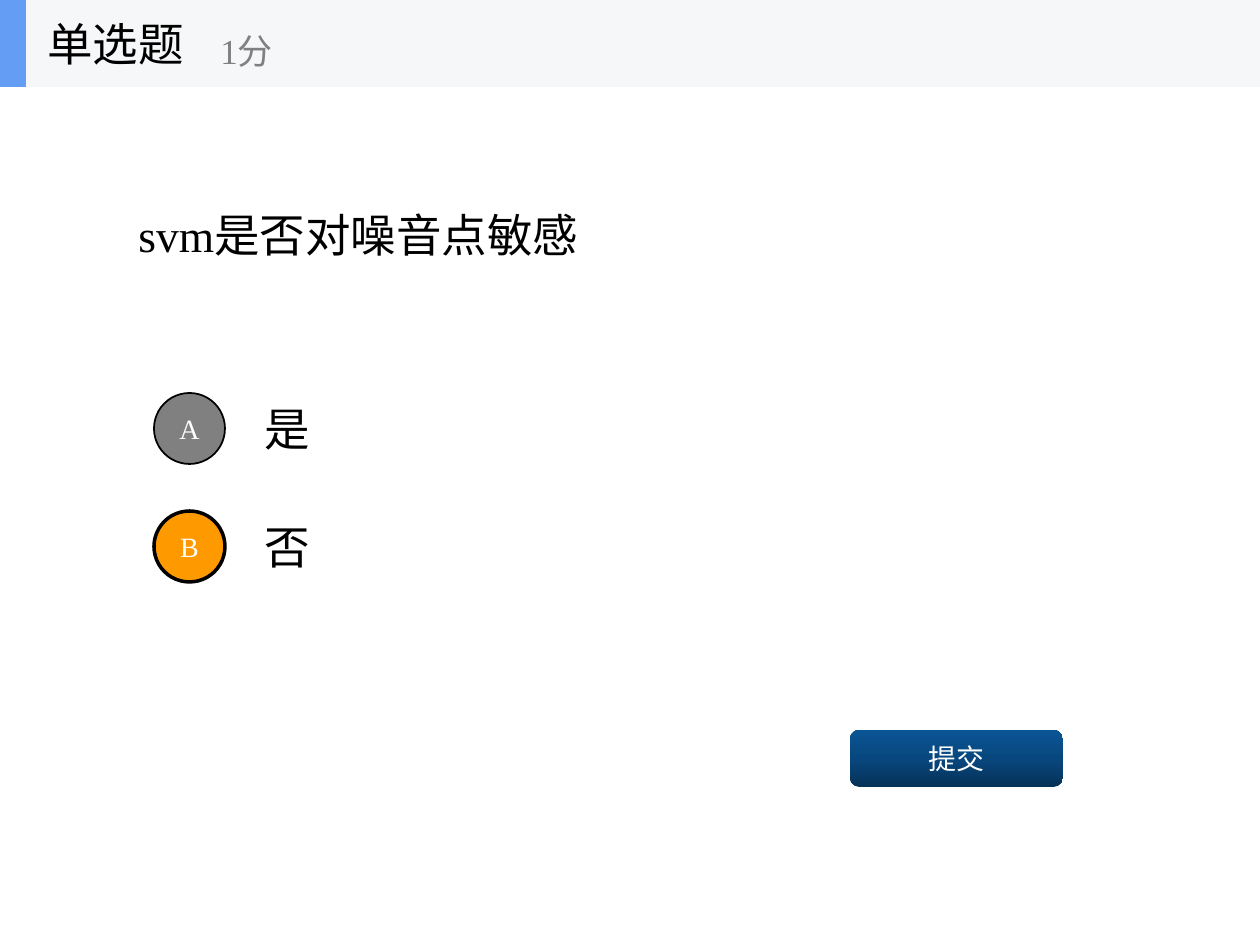
import copy

import pptx
import pptx.dml.color
import pptx.enum.shapes
import pptx.enum.text
import pptx.oxml.ns
import pptx.util

EMU_PER_PX = 914400 / 126
SHAPE = pptx.enum.shapes.MSO_SHAPE
ALIGN = pptx.enum.text.PP_ALIGN


def px(length):
    return pptx.util.Emu(round(length * EMU_PER_PX))


def color(value):
    return pptx.dml.color.RGBColor.from_string(value)


class QuizSlide:
    font_name = "Times New Roman"
    black, white, gray = "000000", "FFFFFF", "808080"
    large, medium, small = 26, 20, 16

    def __init__(self, presentation):
        self.slide = presentation.slides.add_slide(presentation.slide_layouts[6])

    def set_text(self, shape, text, size, font_color, align, wrap=True):
        frame = shape.text_frame
        frame.text = text
        frame.word_wrap = wrap
        frame.vertical_anchor = pptx.enum.text.MSO_ANCHOR.MIDDLE
        paragraph = frame.paragraphs[0]
        paragraph.alignment = align
        font = paragraph.runs[0].font
        font.name = self.font_name
        font.size = pptx.util.Pt(size)
        font.color.rgb = color(font_color)

    def text(self, box, text, size=large, font_color=black, wrap=True):
        shape = self.slide.shapes.add_textbox(*map(px, box))
        self.set_text(shape, text, size, font_color, ALIGN.LEFT, wrap)

    def shape(self, kind, box, fill=None, line_width=0):
        shape = self.slide.shapes.add_shape(kind, *map(px, box))
        shape.shadow.inherit = False
        if fill:
            shape.fill.solid()
            shape.fill.fore_color.rgb = color(fill)
        if line_width:
            shape.line.color.rgb = color(self.black)
            shape.line.width = pptx.util.Pt(line_width)
        else:
            shape.line.fill.background()
        return shape

    def label(self, shape, text):
        frame = shape.text_frame
        frame.margin_left = frame.margin_right = 0
        frame.margin_top = frame.margin_bottom = 0
        self.set_text(shape, text, self.small, self.white, ALIGN.CENTER)

    def option(self, top, letter, answer, fill, line_width):
        self.text((252, top, 882, 88), answer)
        circle = self.shape(SHAPE.OVAL, (154, top + 9, 71, 71), fill, line_width)
        self.label(circle, letter)

    def button(self, box, text, gradient):
        shape = self.shape(SHAPE.ROUNDED_RECTANGLE, box)
        shape.fill.gradient()
        shape.fill.gradient_angle = 90
        # The default gradient has two stops, so the middle one is added
        stops = shape.element.spPr.find(".//" + pptx.oxml.ns.qn("a:gsLst"))
        stops.insert(1, copy.deepcopy(stops[0]))
        for stop, (position, value) in zip(shape.fill.gradient_stops, gradient):
            stop.position = position
            stop.color.rgb = color(value)
        self.label(shape, text)


def main():
    presentation = pptx.Presentation()
    presentation.slide_width = px(1260)
    presentation.slide_height = px(945)
    quiz = QuizSlide(presentation)

    # Question and answers
    quiz.text((126, 87, 1008, 295), "svm是否对噪音点敏感")
    quiz.option(384, "A", "是", quiz.gray, 1)
    quiz.option(502, "B", "否", "FF9900", 2)

    # Submit button
    quiz.button((850, 730, 213, 57), "提交",
                [(0, "063258"), (0.5, "08477E"), (1, "0A5595")])

    # Header
    quiz.shape(SHAPE.RECTANGLE, (0, 0, 1260, 87), "F6F7F8")
    quiz.shape(SHAPE.RECTANGLE, (0, 0, 26, 87), "639EF4")
    quiz.text((35, 0, 262, 87), "单选题", wrap=False)
    quiz.text((208, 15, 315, 71), "1分", quiz.medium, quiz.gray, wrap=False)

    presentation.save("out.pptx")


if __name__ == "__main__":
    main()
